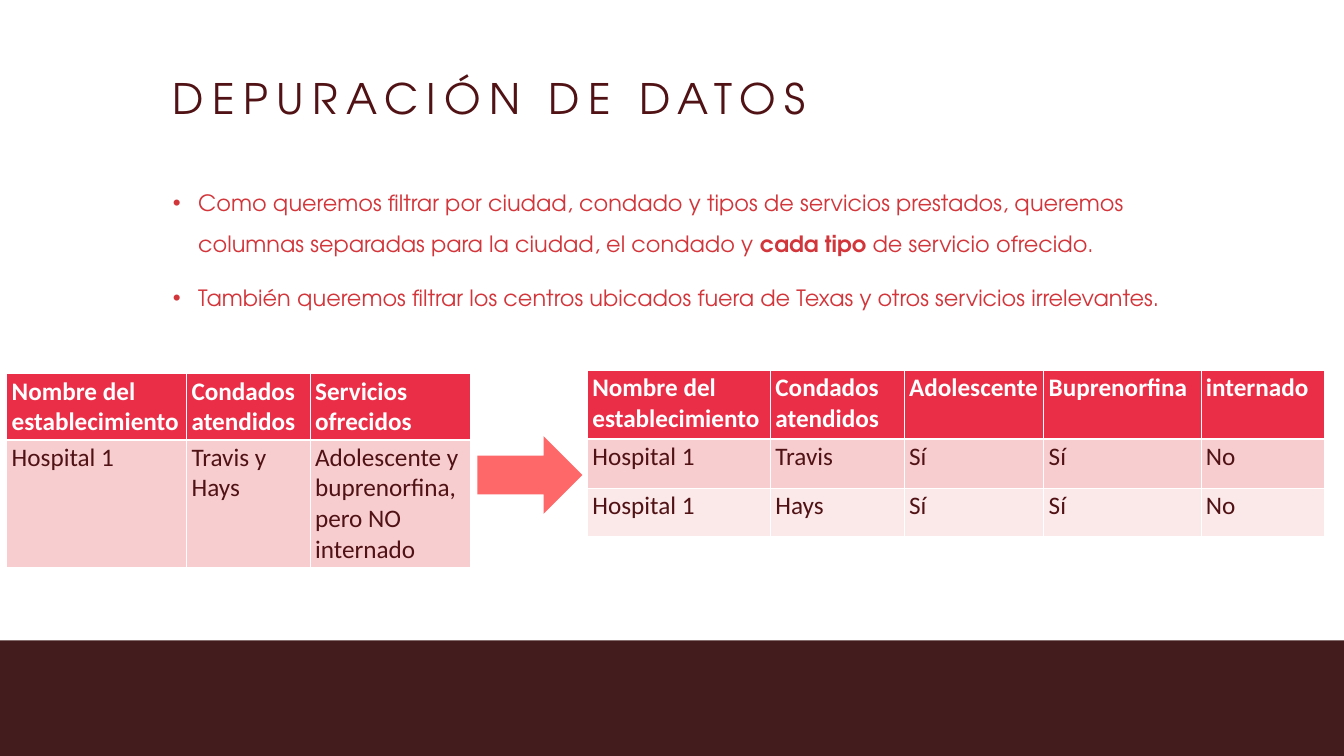
"""Build the data cleaning slide with its before and after tables."""
from lxml.etree import SubElement
from pptx import Presentation
from pptx.dml.color import RGBColor
from pptx.enum.shapes import MSO_SHAPE as Preset
from pptx.oxml.ns import qn
from pptx.util import Pt

WIDTH, HEIGHT = 1920, 1080
DARK, RED, HEADER, CORAL, BAR = "501214", "D2353A", "EB2E47", "FE6869", "431C1D"
BANDS = ["F7CDCF", "FBE8E9"]
WHITE = "FFFFFF"
TITLE = {"name": "TeX Gyre Adventor", "size": Pt(60), "bold": False}
BODY = {"name": "TeX Gyre Adventor", "size": Pt(32), "bold": False}
HEAD_CELL = {"name": "Calibri", "size": Pt(36), "bold": True}
BODY_CELL = {**HEAD_CELL, "bold": False}
BULLETS = [
    [("Como queremos filtrar por ciudad, condado y tipos de servicios prestados, "
      "queremos columnas separadas para la ciudad, el condado y ", False),
     ("cada tipo ", True), ("de servicio ofrecido.", False)],
    [("También queremos filtrar los centros ubicados fuera de Texas y otros "
      "servicios irrelevantes.", False)],
]
BEFORE = [
    ["Nombre del establecimiento", "Condados atendidos", "Servicios ofrecidos"],
    ["Hospital 1", "Travis y Hays", "Adolescente y buprenorfina, pero NO internado"],
]
AFTER = [
    ["Nombre del establecimiento", "Condados atendidos", "Adolescente",
     "Buprenorfina", "internado"],
    ["Hospital 1", "Travis", "Sí", "Sí", "No"],
    ["Hospital 1", "Hays", "Sí", "Sí", "No"],
]


def color(value):
    return RGBColor.from_string(value)


def paint(target, value):
    target.fill.solid()
    target.fill.fore_color.rgb = color(value)


class SlideBuilder:
    def __init__(self, slide):
        self.slide = slide

    def style(self, font, values, value):
        for name, setting in values.items():
            setattr(font, name, setting)
        font.color.rgb = color(value)

    def shape(self, preset, box, fill):
        shape = self.slide.shapes.add_shape(preset, *map(Pt, box))
        shape.shadow.inherit = False
        paint(shape, fill)
        shape.line.fill.background()

    def text_frame(self, box):
        frame = self.slide.shapes.add_textbox(*map(Pt, box)).text_frame
        frame.word_wrap = True
        return frame

    def title(self, box, text):
        paragraph = self.text_frame(box).paragraphs[0]
        paragraph.line_spacing = 0.9
        run = paragraph.add_run()
        run.text = text
        self.style(run.font, TITLE, DARK)
        run.font._element.set("spc", "1200")

    def bullets(self, box, items):
        frame = self.text_frame(box)
        for index, runs in enumerate(items):
            paragraph = frame.add_paragraph() if index else frame.paragraphs[0]
            paragraph.line_spacing = 1.5
            paragraph.space_before = Pt(20 if index else 0)
            properties = paragraph._p.get_or_add_pPr()
            properties.set("marL", str(Pt(36)))
            properties.set("indent", str(-Pt(36)))
            SubElement(properties, qn("a:buFont"), typeface="Arial")
            SubElement(properties, qn("a:buChar"), char="•")
            for text, bold in runs:
                run = paragraph.add_run()
                run.text = text
                self.style(run.font, {**BODY, "bold": bold}, RED)

    def border(self, cell, side, width):
        line = SubElement(cell._tc.get_or_add_tcPr(), qn(f"a:ln{side}"), w=str(Pt(width)))
        SubElement(SubElement(line, qn("a:solidFill")), qn("a:srgbClr"), val=WHITE)

    def table(self, left, top, widths, heights, rows):
        table = self.slide.shapes.add_table(
            len(rows), len(widths), Pt(left), Pt(top),
            Pt(sum(widths)), Pt(sum(heights))).table
        for column, width in zip(table.columns, widths):
            column.width = Pt(width)
        for index, (row, height, texts) in enumerate(zip(table.rows, heights, rows)):
            row.height = Pt(height)
            for cell, text in zip(row.cells, texts):
                self.cell(cell, text, index)

    def cell(self, cell, text, index):
        edges = {"L": 1, "R": 1, "T": 1 if index != 1 else 3, "B": 1 if index else 3}
        for side, width in edges.items():
            self.border(cell, side, width)
        paint(cell, BANDS[index - 1] if index else HEADER)
        run = cell.text_frame.paragraphs[0].add_run()
        run.text = text
        values, value = (BODY_CELL, DARK) if index else (HEAD_CELL, WHITE)
        self.style(run.font, values, value)


def main():
    presentation = Presentation()
    presentation.slide_width, presentation.slide_height = Pt(WIDTH), Pt(HEIGHT)
    builder = SlideBuilder(presentation.slides.add_slide(presentation.slide_layouts[6]))
    builder.shape(Preset.RECTANGLE, (0, 915, WIDTH, HEIGHT - 915), BAR)
    builder.title((240, 108, 1440, 90), "DEPURACIÓN DE DATOS")
    builder.bullets((240, 248, 1440, 552), BULLETS)
    builder.table(9.5, 533.5, [257, 176.5, 229.5], [94.5, 183], BEFORE)
    builder.shape(Preset.RIGHT_ARROW, (682, 623, 150, 111), CORAL)
    builder.table(839, 528.5, [261.5, 191, 199.5, 224.5, 177], [98.5, 70, 68.5], AFTER)
    presentation.save("out.pptx")


if __name__ == "__main__":
    main()
